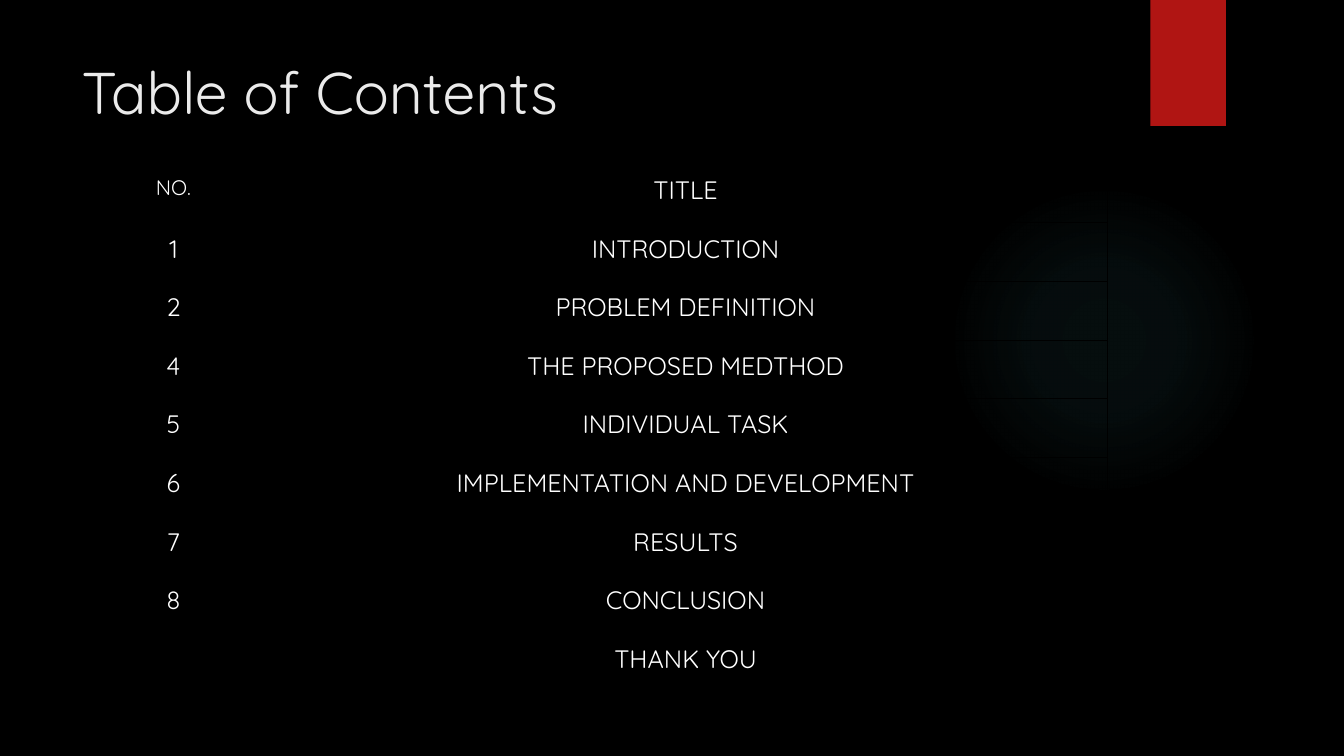
from lxml import etree
from pptx import Presentation
from pptx.dml.color import RGBColor
from pptx.enum.shapes import MSO_SHAPE
from pptx.enum.text import MSO_ANCHOR, MSO_AUTO_SIZE, PP_ALIGN
from pptx.oxml import parse_xml
from pptx.util import Pt

ELLIPSE, RECTANGLE = MSO_SHAPE.OVAL, MSO_SHAPE.RECTANGLE
TOP, LEFT, CENTER = MSO_ANCHOR.TOP, PP_ALIGN.LEFT, PP_ALIGN.CENTER
NO_FIT = MSO_AUTO_SIZE.NONE
TITLE_ONLY = 5
DRAWING = "http://schemas.openxmlformats.org/drawingml/2006/main"

COLORS = {"ground": "000000", "ribbon": "B01513", "glow": "50B9C1",
          "title": "EBEBEB", "text": "FFFFFF", "border": "000000"}
GLOW_STOPS = [(0, 7), (36, 6), (69, 0)]  # position and opacity in percent

CONTENTS = [
    ("NO.", "TITLE"),
    ("1", "INTRODUCTION"),
    ("2", "PROBLEM DEFINITION"),
    ("4", "THE PROPOSED MEDTHOD"),
    ("5", "INDIVIDUAL TASK"),
    ("6", "IMPLEMENTATION AND DEVELOPMENT"),
    ("7", "RESULTS"),
    ("8", "CONCLUSION"),
    ("", "THANK YOU"),
]


def apply(target, formats):
    for name, value in formats.items():
        setattr(target, name, value)


class SlideBuilder:
    font = "Quicksand"
    text_size = 18

    def __init__(self, page):
        self.page = page

    def color(self, name):
        return RGBColor.from_string(COLORS[name])

    def background(self, color):
        fill = self.page.background.fill
        fill.solid()
        fill.fore_color.rgb = self.color(color)

    def add_text(self, frame, text, size, color, align):
        para = frame.paragraphs[0]
        para.alignment = align
        span = para.add_run()
        span.text = text
        apply(span.font, {"name": self.font, "size": Pt(size), "bold": False})
        span.font.color.rgb = self.color(color)

    def shape(self, kind, box, color):
        shape = self.page.shapes.add_shape(kind, *map(Pt, box))
        shape.shadow.inherit = False
        shape.line.fill.background()
        shape.fill.solid()
        shape.fill.fore_color.rgb = self.color(color)
        return shape

    def glow(self, box, color, stops):
        shape = self.shape(ELLIPSE, box, color)
        stop_xml = "".join(
            f'<a:gs pos="{position * 1000}"><a:srgbClr val="{COLORS[color]}">'
            f'<a:alpha val="{alpha * 1000}"/></a:srgbClr></a:gs>'
            for position, alpha in stops)
        gradient = parse_xml(
            f'<a:gradFill xmlns:a="{DRAWING}"><a:gsLst>{stop_xml}</a:gsLst>'
            '<a:path path="circle"><a:fillToRect l="50000" t="50000" r="50000" b="50000"/>'
            '</a:path></a:gradFill>')
        properties = shape._element.spPr
        properties.replace(properties.find(f"{{{DRAWING}}}solidFill"), gradient)

    def title(self, text, box, size):
        title = self.page.shapes.title
        apply(title, dict(zip(("left", "top", "width", "height"), map(Pt, box))))
        apply(title.text_frame, {"vertical_anchor": TOP, "word_wrap": True,
                                 "auto_size": NO_FIT})
        self.add_text(title.text_frame, text, size, "title", LEFT)

    def borders(self, cell, width):
        properties = cell._tc.get_or_add_tcPr()
        for side in ("lnL", "lnR", "lnT", "lnB"):
            line = etree.SubElement(properties, f"{{{DRAWING}}}{side}", w=str(int(Pt(width))))
            fill = etree.SubElement(line, f"{{{DRAWING}}}solidFill")
            etree.SubElement(fill, f"{{{DRAWING}}}srgbClr", val=COLORS["border"])

    def table(self, rows, left, top, widths, row_height, header_sizes):
        frame = self.page.shapes.add_table(
            len(rows), len(widths), Pt(left), Pt(top),
            Pt(sum(widths)), Pt(row_height * len(rows)))
        table = frame.table
        apply(table, {"first_row": False, "horz_banding": False})
        for column, width in zip(table.columns, widths):
            column.width = Pt(width)
        margins = {f"margin_{side}": Pt(7.2) for side in ("left", "right", "top", "bottom")}
        for row_index, texts in enumerate(rows):
            table.rows[row_index].height = Pt(row_height)
            for column_index, text in enumerate(texts):
                cell = table.cell(row_index, column_index)
                apply(cell, {**margins, "vertical_anchor": TOP})
                self.borders(cell, 0.75)
                cell.fill.background()
                if text:
                    size = self.text_size if row_index else header_sizes[column_index]
                    self.add_text(cell.text_frame, text, size, "text", CENTER)


def main():
    deck = Presentation()
    apply(deck, {"slide_width": Pt(960), "slide_height": Pt(540)})
    builder = SlideBuilder(deck.slides.add_slide(deck.slide_layouts[TITLE_ONLY]))

    # Backdrop
    builder.background("ground")
    builder.glow((677.5, 131.8, 221.8, 221.8), "glow", GLOW_STOPS)
    builder.shape(RECTANGLE, (821.7, 0, 54, 90), "ribbon")

    # Heading
    builder.title("Table of Contents", (51.1, 36, 740.9, 77), 42)

    # Contents table
    builder.table(CONTENTS, left=59.8, top=117.4, widths=(128.2, 603.4),
                  row_height=41.85, header_sizes=(15, 18))

    deck.save("out.pptx")


if __name__ == "__main__":
    main()
